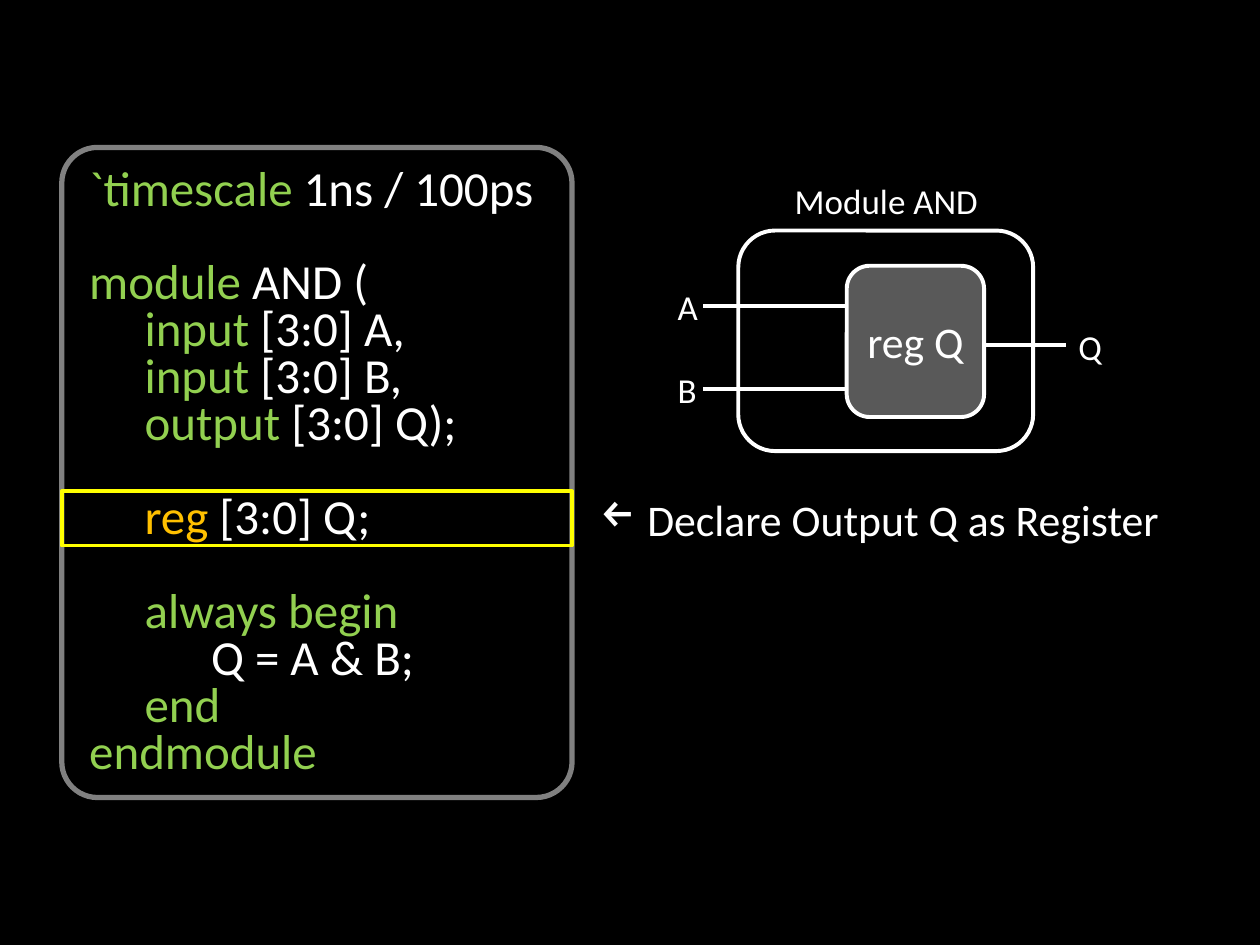
from lxml import etree
from pptx import Presentation
from pptx.dml.color import RGBColor
from pptx.enum.shapes import MSO_CONNECTOR as Link, MSO_SHAPE as Kind
from pptx.enum.text import MSO_ANCHOR as Anchor, PP_ALIGN as Align
from pptx.oxml.ns import qn
from pptx.util import Inches, Pt

BLACK = RGBColor(0x00, 0x00, 0x00)
WHITE = RGBColor(0xFF, 0xFF, 0xFF)
GREEN = RGBColor(0x92, 0xD0, 0x50)
ORANGE = RGBColor(0xFF, 0xC0, 0x00)
YELLOW = RGBColor(0xFF, 0xFF, 0x00)
GRAY = RGBColor(0x80, 0x80, 0x80)
DARK = RGBColor(0x59, 0x59, 0x59)
FONT = "Calibri"
STEP, GAP = 10, 36.8  # points before a code line, and after an empty row

# Each code line: space before, then (text, colour) parts
CODE = [
    (0, [("`timescale ", GREEN), ("1ns / 100ps", WHITE)]),
    (GAP, [("module", GREEN), (" AND (", WHITE)]),
    (STEP, [("     input", GREEN), (" [3:0] A,", WHITE)]),
    (STEP, [("     input", GREEN), (" [3:0] B,", WHITE)]),
    (STEP, [("     output", GREEN), (" [3:0] Q);", WHITE)]),
    (GAP, [("     reg", ORANGE), (" [3:0] Q;", WHITE)]),
    (GAP, [("     always begin", GREEN)]),
    (STEP, [("           Q = A & B;", WHITE)]),
    (STEP, [("     end", GREEN)]),
    (STEP, [("endmodule", GREEN)]),
]


def style(run, size, color=WHITE):
    run.font.name = FONT
    run.font.size = Pt(size)
    run.font.color.rgb = color


def add_box(slide, kind, x, y, w, h, line, width, fill=None, round_by=None):
    box = slide.shapes.add_shape(kind, Inches(x), Inches(y), Inches(w), Inches(h))
    box.shadow.inherit = False
    if fill is None:
        box.fill.background()
    else:
        box.fill.solid()
        box.fill.fore_color.rgb = fill
    box.line.color.rgb = line
    box.line.width = Pt(width)
    if round_by is not None:
        box.adjustments[0] = round_by
    return box


def add_text(slide, x, y, w, h, wrap=True):
    frame = slide.shapes.add_textbox(
        Inches(x), Inches(y), Inches(w), Inches(h)).text_frame
    frame.word_wrap = wrap
    frame.vertical_anchor = Anchor.MIDDLE
    return frame


def set_label(frame, text, size):
    frame.text = text
    frame.vertical_anchor = Anchor.MIDDLE
    para = frame.paragraphs[0]
    para.alignment = Align.CENTER
    style(para.runs[0], size)


def add_wire(slide, x1, x2, y):
    wire = slide.shapes.add_connector(
        Link.STRAIGHT, Inches(x1), Inches(y), Inches(x2), Inches(y))
    wire.line.color.rgb = WHITE
    wire.line.width = Pt(2.25)
    etree.SubElement(wire._element.spPr, qn("a:effectLst"))


def add_code(slide, x, y, w, h):
    """Code listing in a rounded frame, with the reg line marked."""
    frame = add_text(slide, x + 0.12, y + 0.2, w - 0.13, h - 0.3)
    for i, (space, parts) in enumerate(CODE):
        para = frame.paragraphs[0] if i == 0 else frame.add_paragraph()
        para.line_spacing = 0.5
        para.space_before = Pt(space)
        for text, color in parts:
            run = para.add_run()
            run.text = text
            style(run, 28, color)
    add_box(slide, Kind.ROUNDED_RECTANGLE, x, y, w, h, GRAY, 3, round_by=0.07)
    add_box(slide, Kind.RECTANGLE, x, y + 2.73, w, 0.43, YELLOW, 2.25)


def add_note(slide, x, y, w, h):
    """Remark with an arrow bullet pointing at the marked line."""
    frame = add_text(slide, x, y, w, h)
    para = frame.paragraphs[0]
    para.text = "Declare Output Q as Register"
    props = para._p.get_or_add_pPr()
    props.set("marL", str(Inches(0.38)))
    props.set("indent", str(-Inches(0.38)))
    etree.SubElement(props, qn("a:buChar")).set("char", "←")
    style(para.runs[0], 25)


def add_module(slide, x, y, w, h):
    """Block diagram: module frame, register, ports and wires."""
    add_box(slide, Kind.ROUNDED_RECTANGLE, x, y, w, h, WHITE, 2.25, BLACK)
    set_label(add_text(slide, x + 0.34, y - 0.46, 1.67, 0.44, False),
              "Module AND", 20)
    left, right = x + 0.86, x + 1.95
    # Inputs on the left, output on the right
    for name, drop in (("A", 0.6), ("B", 1.26)):
        add_wire(slide, x - 0.28, left, y + drop)
        set_label(add_text(slide, x - 0.58, y + drop - 0.22, 0.3, 0.44), name, 20)
    add_wire(slide, right, x + 2.6, y + 0.91)
    set_label(add_text(slide, x + 2.6, y + 0.7, 0.33, 0.44), "Q", 20)
    # Register
    reg = add_box(slide, Kind.ROUNDED_RECTANGLE, left, y + 0.28,
                  right - left, 1.2, WHITE, 2.25, DARK)
    set_label(reg.text_frame, "reg Q", 25)


def main():
    deck = Presentation()
    deck.slide_width, deck.slide_height = Inches(10), Inches(7.5)
    slide = deck.slides.add_slide(deck.slide_layouts[6])
    slide.background.fill.solid()
    slide.background.fill.fore_color.rgb = BLACK
    add_code(slide, 0.49, 1.17, 4.05, 5.16)
    add_note(slide, 4.66, 3.86, 5.31, 0.52)
    add_module(slide, 5.86, 1.83, 2.34, 1.75)
    deck.save("out.pptx")


if __name__ == "__main__":
    main()
